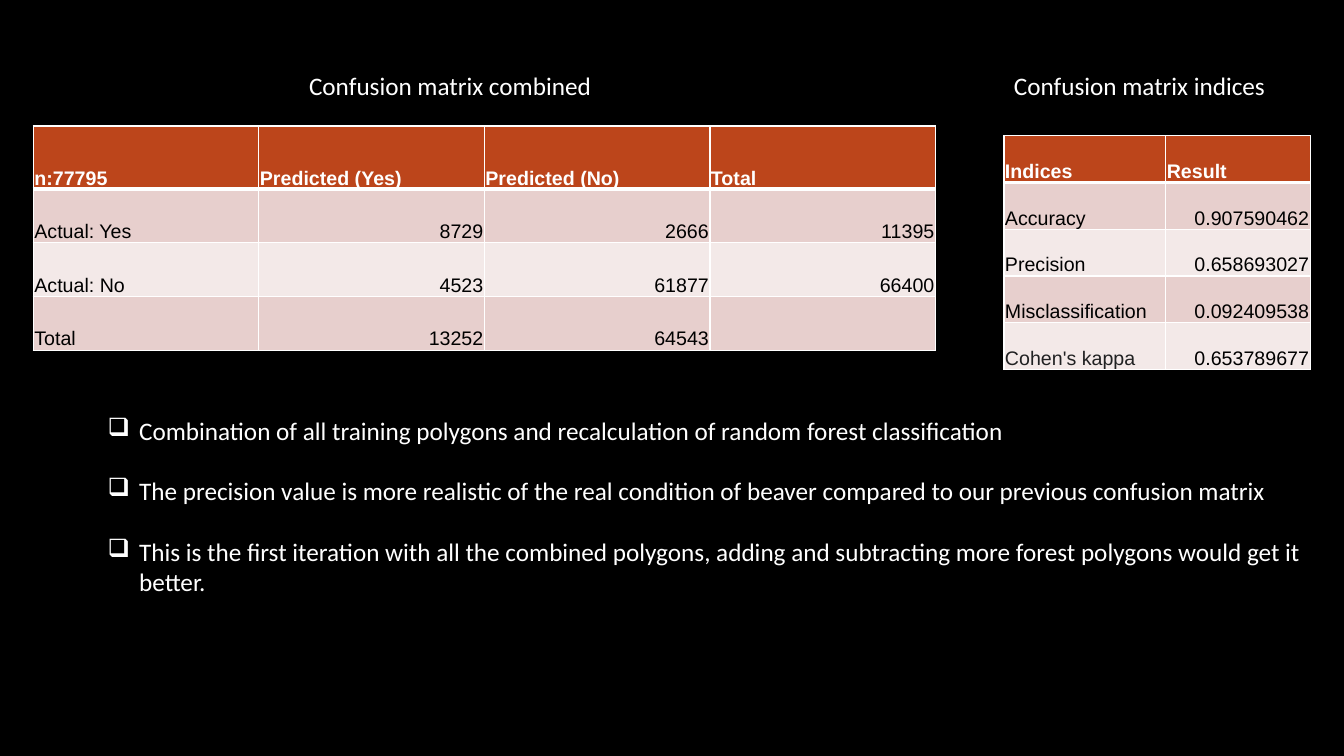
from dataclasses import dataclass

from lxml import etree
from pptx import Presentation
from pptx.dml.color import RGBColor
from pptx.enum.text import MSO_ANCHOR, PP_ALIGN
from pptx.oxml.ns import qn
from pptx.util import Pt

LEFT, CENTER, RIGHT = PP_ALIGN.LEFT, PP_ALIGN.CENTER, PP_ALIGN.RIGHT
BOTTOM = MSO_ANCHOR.BOTTOM


@dataclass(frozen=True)
class Theme:
    """Colours, fonts and type sizes of the slide."""

    background: str = "000000"
    light: str = "FFFFFF"
    dark: str = "000000"
    soft_dark: str = "202122"
    header: str = "BC451B"
    bands: tuple = ("E7CFCD", "F3E9E8")
    text_font: str = "Calibri"
    table_font: str = "Arial"
    text_size: float = 18
    table_size: float = 14
    thin: float = 1
    thick: float = 3


class SlideBuilder:
    """Draws styled elements on one slide."""

    def __init__(self, slide, theme):
        self.slide = slide
        self.theme = theme
        fill = slide.background.fill
        fill.solid()
        fill.fore_color.rgb = RGBColor.from_string(theme.background)

    def set_font(self, paragraph, name, size, color, bold=False):
        font = paragraph.font
        font.name, font.size, font.bold = name, Pt(size), bold
        font.color.rgb = RGBColor.from_string(color)

    def add_text(self, left, top, width, height, lines, align=LEFT, bullet=None, gap=0):
        box = self.slide.shapes.add_textbox(Pt(left), Pt(top), Pt(width), Pt(height))
        frame = box.text_frame
        frame.word_wrap = True
        for index, line in enumerate(lines):
            paragraph = frame.add_paragraph() if index else frame.paragraphs[0]
            paragraph.text = line
            paragraph.alignment = align
            if bullet:
                self.add_bullet(paragraph, bullet)
            if index:
                paragraph.space_before = Pt(gap)
            self.set_font(paragraph, self.theme.text_font, self.theme.text_size, self.theme.light)

    def add_bullet(self, paragraph, character, indent=22.5):
        properties = paragraph._p.get_or_add_pPr()
        properties.set("marL", str(Pt(indent)))
        properties.set("indent", str(-Pt(indent)))
        etree.SubElement(properties, qn("a:buChar")).set("char", character)

    def add_borders(self, cell, top, bottom):
        properties = cell._tc.get_or_add_tcPr()
        thin = self.theme.thin
        sides = (("lnL", thin), ("lnR", thin), ("lnT", top), ("lnB", bottom))
        for position, (side, width) in enumerate(sides):
            line = etree.Element(qn(f"a:{side}"), w=str(Pt(width)))
            fill = etree.SubElement(line, qn("a:solidFill"))
            etree.SubElement(fill, qn("a:srgbClr")).set("val", self.theme.light)
            properties.insert(position, line)

    def add_table(self, left, top, widths, heights, rows, soft_cells=()):
        theme = self.theme
        frame = self.slide.shapes.add_table(
            len(rows), len(widths), Pt(left), Pt(top), Pt(sum(widths)), Pt(sum(heights)))
        table = frame.table
        table.first_row = table.horz_banding = False
        for column, width in zip(table.columns, widths):
            column.width = Pt(width)
        for row_index, (values, height) in enumerate(zip(rows, heights)):
            table.rows[row_index].height = Pt(height)
            is_header = row_index == 0
            for column_index, value in enumerate(values):
                cell = table.cell(row_index, column_index)
                cell.text = value
                cell.vertical_anchor = BOTTOM
                cell.margin_left = cell.margin_right = cell.margin_top = Pt(0.75)
                cell.margin_bottom = Pt(0)
                cell.fill.solid()
                band = theme.bands[(row_index - 1) % 2]
                cell.fill.fore_color.rgb = RGBColor.from_string(theme.header if is_header else band)
                self.add_borders(cell, theme.thick if row_index == 1 else theme.thin,
                                 theme.thick if is_header else theme.thin)
                paragraph = cell.text_frame.paragraphs[0]
                paragraph.alignment = LEFT if is_header or column_index == 0 else RIGHT
                body_color = theme.soft_dark if value in soft_cells else theme.dark
                self.set_font(paragraph, theme.table_font, theme.table_size,
                              theme.light if is_header else body_color, is_header)


def main():
    """Build the confusion matrix slide."""
    presentation = Presentation()
    presentation.slide_width, presentation.slide_height = Pt(960), Pt(540)
    slide = presentation.slides.add_slide(presentation.slide_layouts[6])
    builder = SlideBuilder(slide, Theme())

    builder.add_table(23.8, 90, [161.1] * 4, [45.2] + [38.3] * 3, [
        ("n:77795", "Predicted (Yes)", "Predicted (No)", "Total"),
        ("Actual: Yes", "8729", "2666", "11395"),
        ("Actual: No", "4523", "61877", "66400"),
        ("Total", "13252", "64543", ""),
    ])
    builder.add_table(717.1, 97, [115.6, 103.2], [33.4] * 5, [
        ("Indices", "Result"),
        ("Accuracy", "0.907590462"),
        ("Precision", "0.658693027"),
        ("Misclassification", "0.092409538"),
        ("Cohen's kappa", "0.653789677"),
    ], soft_cells=("Cohen's kappa",))

    builder.add_text(141.5, 46.8, 360, 29, ["Confusion matrix combined"], CENTER)
    builder.add_text(717.1, 46.8, 218.8, 29, ["Confusion matrix indices"])
    builder.add_text(69.8, 293, 890, 247, [
        "Combination of all training polygons and recalculation of random forest classification",
        "The precision value is more realistic of the real condition of beaver compared to our "
        "previous confusion matrix",
        "This is the first iteration with all the combined polygons, adding and subtracting more "
        "forest polygons would get it better.",
    ], bullet="❑", gap=21.6)

    presentation.save("out.pptx")


if __name__ == "__main__":
    main()
